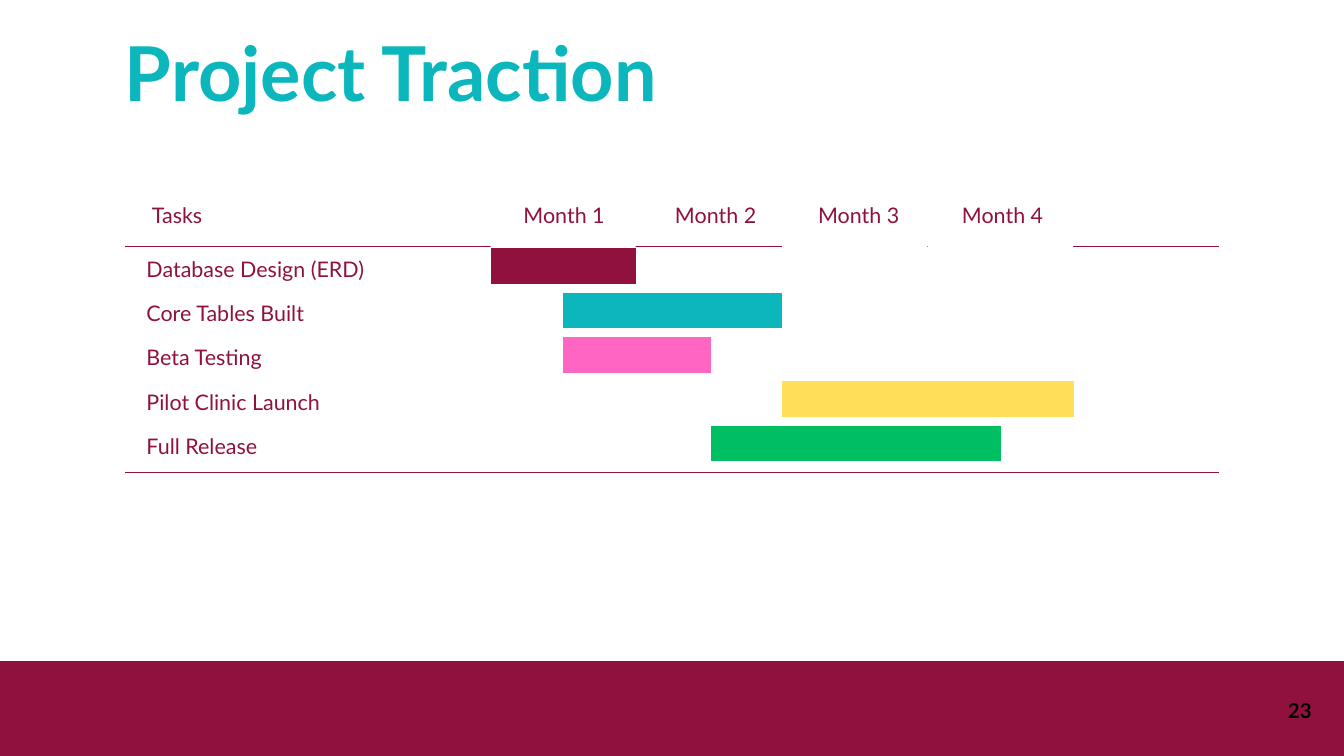
from dataclasses import dataclass

from pptx import Presentation
from pptx.dml.color import RGBColor
from pptx.enum import shapes, text
from pptx.oxml import ns, xmlchemy
from pptx.slide import Slide
from pptx.util import Inches, Pt


@dataclass(frozen=True)
class Theme:
    """Colours and type sizes of the slide."""

    font: str = "Lato"
    wine: str = "90113E"
    teal: str = "0BB6BC"
    pink: str = "FF66C4"
    yellow: str = "FFDE59"
    green: str = "00BF63"
    white: str = "FFFFFF"
    black: str = "000000"
    title_size: float = 81
    label_size: float = 23
    number_size: float = 22
    rule_width: float = 1.5
    bar_width: float = 38.25


@dataclass(frozen=True)
class Month:
    """A month heading, with the left edge of its backing panel if it has one."""

    name: str
    left: float
    width: float = 1.44
    panel_left: float | None = None


@dataclass(frozen=True)
class Task:
    """A task and the span of its bar."""

    name: str
    start: float
    end: float
    color: str


THEME = Theme()
MONTHS = [
    Month("Month 1", 7.56, 1.67, panel_left=7.3),
    Month("Month 2", 9.93),
    Month("Month 3", 12.06, panel_left=11.64),
    Month("Month 4", 14.2, panel_left=13.81),
]
TASKS = [
    Task("Database Design (ERD)", 7.3, 9.46, THEME.wine),
    Task("Core Tables Built", 8.38, 11.63, THEME.teal),
    Task("Beta Testing", 8.38, 10.58, THEME.pink),
    Task("Pilot Clinic Launch", 11.64, 15.98, THEME.yellow),
    Task("Full Release", 10.58, 14.89, THEME.green),
]
HEADING_TOP = 2.95
FIRST_ROW_TOP = 3.74
ROW_PITCH = 0.66
BAR_OFFSET = 0.22


def add_text(slide: Slide, content: str, left: float, top: float, width: float,
             height: float, *, size: float = THEME.label_size,
             color: str = THEME.wine, bold: bool = False, spacing: float = 32.2,
             align: text.PP_ALIGN = text.PP_ALIGN.JUSTIFY) -> None:
    """Add one line of text in a box without margins."""
    box = slide.shapes.add_textbox(Inches(left), Inches(top), Inches(width), Inches(height))
    frame = box.text_frame
    frame.word_wrap = True
    frame.auto_size = text.MSO_AUTO_SIZE.SHAPE_TO_FIT_TEXT
    frame.margin_left = frame.margin_right = frame.margin_top = frame.margin_bottom = 0
    paragraph = frame.paragraphs[0]
    paragraph.alignment = align
    paragraph.line_spacing = Pt(spacing)
    run = paragraph.add_run()
    run.text = content
    run.font.name = THEME.font
    run.font.size = Pt(size)
    run.font.bold = bold
    run.font.color.rgb = RGBColor.from_string(color)


def add_panel(slide: Slide, left: float, top: float, width: float, height: float,
              color: str) -> None:
    """Add a plain filled rectangle."""
    panel = slide.shapes.add_shape(shapes.MSO_SHAPE.RECTANGLE, Inches(left), Inches(top),
                                   Inches(width), Inches(height))
    panel.shadow.inherit = False
    panel.fill.solid()
    panel.fill.fore_color.rgb = RGBColor.from_string(color)
    panel.line.fill.background()


def add_line(slide: Slide, start: float, end: float, y: float, color: str,
             width: float) -> None:
    """Add a horizontal line without a shadow."""
    line = slide.shapes.add_connector(shapes.MSO_CONNECTOR.STRAIGHT, Inches(start),
                                      Inches(y), Inches(end), Inches(y))
    line.line.color.rgb = RGBColor.from_string(color)
    line.line.width = Pt(width)
    line._element.spPr.append(xmlchemy.OxmlElement(ns.qn("a:effectLst") and "a:effectLst"))


def add_schedule(slide: Slide) -> None:
    """Draw the headings, the task names and the bars between two rules."""
    for rule_y in (3.67, 7.03):
        add_line(slide, 1.86, 18.14, rule_y, THEME.wine, THEME.rule_width)
    for month in MONTHS:
        if month.panel_left is not None:
            add_panel(slide, month.panel_left, 2.7, 2.16, 0.98, THEME.white)
        add_text(slide, month.name, month.left, HEADING_TOP, month.width, 0.43,
                 align=text.PP_ALIGN.CENTER)
    add_text(slide, "Tasks", 2.26, HEADING_TOP, 4.78, 0.43)
    for row, task in enumerate(TASKS):
        top = FIRST_ROW_TOP + row * ROW_PITCH
        add_text(slide, task.name, 2.18, top, 4.86, 0.4)
        add_line(slide, task.start, task.end, top + BAR_OFFSET, task.color, THEME.bar_width)


def main() -> None:
    """Build the slide and save it."""
    deck = Presentation()
    deck.slide_width, deck.slide_height = Inches(20), Inches(11.25)
    slide = deck.slides.add_slide(deck.slide_layouts[6])
    add_schedule(slide)
    add_text(slide, "Project Traction", 1.86, 0.38, 16.11, 1.35, size=THEME.title_size,
             color=THEME.teal, bold=True, spacing=97.2, align=text.PP_ALIGN.LEFT)
    add_panel(slide, -0.66, 9.84, 20.66, 2.83, THEME.wine)
    add_text(slide, "23", 18.65, 10.37, 0.87, 0.38, size=THEME.number_size,
             color=THEME.black, bold=True, spacing=27.5, align=text.PP_ALIGN.RIGHT)
    deck.save("out.pptx")


if __name__ == "__main__":
    main()
